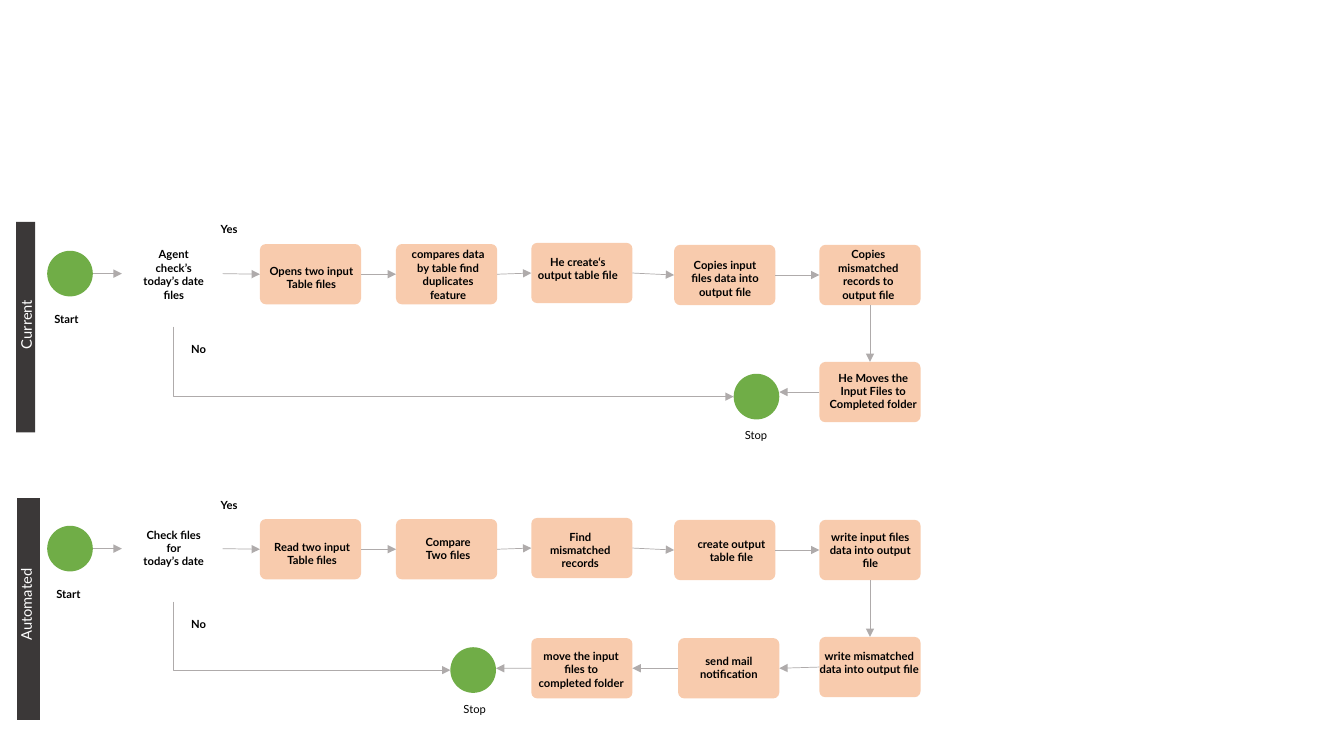
from lxml.etree import SubElement
from pptx import Presentation
from pptx.dml.color import RGBColor
from pptx.enum.shapes import MSO_CONNECTOR, MSO_SHAPE
from pptx.enum.text import MSO_AUTO_SIZE, PP_ALIGN
from pptx.oxml.ns import qn
from pptx.util import Cm, Pt

GREEN = RGBColor(0x70, 0xAD, 0x47)
PEACH = RGBColor(0xF8, 0xCB, 0xAD)
CHARCOAL = RGBColor(0x3B, 0x38, 0x38)
GREY = RGBColor(0xAF, 0xAB, 0xAB)
BLACK = RGBColor(0, 0, 0)
WHITE = RGBColor(0xFF, 0xFF, 0xFF)

# Content: all lengths in cm, heights measured from the top of the lane's frame
# A step is (box left, box top, text, text area)
LANES = [
    {
        "name": "Current", "top": 0,
        "bar": (0.41, 5.59, 0.48, 5.31), "name_top": 7.82,
        "check": ("Agent\ncheck’s\ntoday’s date\nfiles", (3.25, 6.12, 2.26, 1.63)),
        "start_label": 1.12, "stop": (18.49, 9.42), "stop_label": (18.52, 10.67),
        "forward": [
            (6.55, 6.15, "Opens two input\nTable files", (6.48, 6.53, 2.74, 0.94)),
            (9.98, 6.15, "compares data by table find duplicates feature",
             (10.01, 6.12, 2.57, 1.63)),
            (13.39, 6.12, "He create‘s output table file", (13.28, 6.3, 2.57, 1.27)),
            (16.99, 6.17, "Copies input files data into output file",
             (16.99, 6.38, 2.57, 1.27)),
            (20.65, 6.17, "Copies mismatched records to output file",
             (20.6, 6.12, 2.57, 1.63)),
        ],
        "back": [
            (20.65, 9.12, "He Moves the\nInput Files to\nCompleted folder",
             (20.42, 9.22, 3.18, 1.27)),
        ],
    },
    {
        "name": "Automated", "top": 6.93,
        "bar": (0.43, 5.62, 0.58, 5.59), "name_top": 7.95,
        "check": ("Check files\nfor\ntoday’s date", (3.25, 6.25, 2.26, 1.27)),
        "start_label": 1.17, "stop": (11.35, 9.38), "stop_label": (11.43, 10.65),
        "forward": [
            (6.55, 6.15, "Read two input\nTable files", (6.55, 6.56, 2.64, 0.94)),
            (9.98, 6.15, "Compare\nTwo files", (10.01, 6.43, 2.57, 0.94)),
            (13.39, 6.12, "Find mismatched records", (13.34, 6.3, 2.57, 1.27)),
            (16.99, 6.17, "create output table file", (17.15, 6.48, 2.57, 0.94)),
            (20.65, 6.17, "write input files data into output file",
             (20.65, 6.3, 2.57, 1.27)),
        ],
        "back": [
            (20.65, 9.12, "write mismatched data into output file",
             (20.35, 9.3, 3.12, 1.27)),
            (17.09, 9.15, "send mail notification", (16.81, 9.43, 3.12, 0.94)),
            (13.39, 9.15, "move the input\nfiles to\ncompleted folder",
             (13.06, 9.3, 3.18, 1.27)),
        ],
    },
]

BOX_WIDTH, BOX_HEIGHT, CIRCLE = 2.55, 1.52, 1.15
START_LEFT, START_TOP = 1.19, 6.32
CHECK_LEFT, CHECK_RIGHT, CHECK_MIDDLE, CHECK_BOTTOM = 3.07, 5.61, 4.37, 8.23
TOP, LEFT, BOTTOM, RIGHT = range(4)
LABEL = {"name": "Lato", "size": Pt(8), "bold": True}
PLAIN = {"name": "Lato", "size": Pt(8), "bold": False}
LANE_NAME = {"name": "Lato", "size": Pt(10.5), "bold": False}

presentation = Presentation()
presentation.slide_width, presentation.slide_height = Cm(33.87), Cm(19.05)
slide = presentation.slides.add_slide(presentation.slide_layouts[6])


def add_block(kind, left, top, width, height, color):
    shape = slide.shapes.add_shape(kind, Cm(left), Cm(top), Cm(width), Cm(height))
    shape.shadow.inherit = False
    shape.fill.solid()
    shape.fill.fore_color.rgb = color
    shape.line.fill.background()
    return shape


def add_text(text, left, top, width, height, style=LABEL, color=BLACK,
             alignment=PP_ALIGN.CENTER):
    box = slide.shapes.add_textbox(Cm(left), Cm(top), Cm(width), Cm(height))
    frame = box.text_frame
    frame.word_wrap = True
    frame.auto_size = MSO_AUTO_SIZE.SHAPE_TO_FIT_TEXT
    frame.text = text
    for paragraph in frame.paragraphs:
        paragraph.alignment = alignment
        for run in paragraph.runs:
            for attribute, value in style.items():
                setattr(run.font, attribute, value)
            run.font.color.rgb = color
    return box


def add_arrow(x1=0, y1=0, x2=0, y2=0, kind=MSO_CONNECTOR.STRAIGHT):
    arrow = slide.shapes.add_connector(kind, Cm(x1), Cm(y1), Cm(x2), Cm(y2))
    arrow.line.color.rgb = GREY
    arrow.line.width = Pt(0.5)
    properties = arrow._element.spPr
    SubElement(properties.find(qn("a:ln")), qn("a:tailEnd"), type="triangle")
    SubElement(properties, qn("a:effectLst"))
    return arrow


def join(first, first_side, second, second_side):
    arrow = add_arrow()
    arrow.begin_connect(first, first_side)
    arrow.end_connect(second, second_side)


def add_down_then_right(x1, y1, x2, y2):
    # A one-bend connector is stored turned by 270 degrees about its centre
    across, down = x2 - x1, y2 - y1
    left, top = (x1 + x2 - down) / 2, (y1 + y2 - across) / 2
    arrow = add_arrow(left, top, left + down, top + across, MSO_CONNECTOR.ELBOW)
    properties = arrow._element.spPr
    properties.find(qn("a:prstGeom")).set("prst", "bentConnector2")
    properties.find(qn("a:xfrm")).set("rot", "16200000")
    properties.find(qn("a:xfrm")).set("flipH", "1")


def add_step(step, lane_top):
    left, top, text, (text_left, text_top, width, height) = step
    box = add_block(MSO_SHAPE.ROUNDED_RECTANGLE, left, lane_top + top,
                    BOX_WIDTH, BOX_HEIGHT, PEACH)
    box.adjustments[0] = 0.1
    add_text(text, text_left, lane_top + text_top, width, height)
    return box


for lane in LANES:
    lane_top = lane["top"]

    # Lane bar with its name
    left, top, width, height = lane["bar"]
    add_block(MSO_SHAPE.RECTANGLE, left, lane_top + top, width, height, CHARCOAL)
    name = add_text(lane["name"], -1.75, lane_top + lane["name_top"], 4.83, 0.71,
                    LANE_NAME, WHITE)
    name.rotation = 270

    # Start and stop circles
    stop_left, stop_top = lane["stop"]
    for left, top in ((START_LEFT, START_TOP), (stop_left, stop_top)):
        add_block(MSO_SHAPE.OVAL, left, lane_top + top, CIRCLE, CIRCLE, GREEN)

    # Date check and short labels
    text, (left, top, width, height) = lane["check"]
    add_text(text, left, lane_top + top, width, height)
    stop_label_left, stop_label_top = lane["stop_label"]
    for text, left, top, width, style in (
        ("Start", lane["start_label"], 7.75, 1.22, LABEL),
        ("Yes", 5.31, 5.49, 1.22, LABEL),
        ("No", 4.57, 8.51, 1.22, LABEL),
        ("Stop", stop_label_left, stop_label_top, 1.52, PLAIN),
    ):
        add_text(text, left, lane_top + top, width, 0.61, style,
                 alignment=PP_ALIGN.LEFT)

    # Steps
    forward = [add_step(step, lane_top) for step in lane["forward"]]
    back = [add_step(step, lane_top) for step in lane["back"]]

    # Arrows between steps
    for first, second in zip(forward, forward[1:]):
        join(first, RIGHT, second, LEFT)
    join(forward[-1], BOTTOM, back[0], TOP)
    for first, second in zip(back, back[1:]):
        join(first, LEFT, second, RIGHT)

    # Arrows around the date check and into the stop circle
    middle = lane_top + START_TOP + CIRCLE / 2
    add_arrow(START_LEFT + CIRCLE, middle, CHECK_LEFT, middle)
    add_arrow(CHECK_RIGHT, middle).end_connect(forward[0], LEFT)
    last_middle = lane_top + lane["back"][-1][1] + BOX_HEIGHT / 2
    add_arrow(x2=stop_left + CIRCLE, y2=last_middle).begin_connect(back[-1], LEFT)
    add_down_then_right(CHECK_MIDDLE, lane_top + CHECK_BOTTOM,
                        stop_left, lane_top + stop_top + CIRCLE / 2)

presentation.save("out.pptx")
